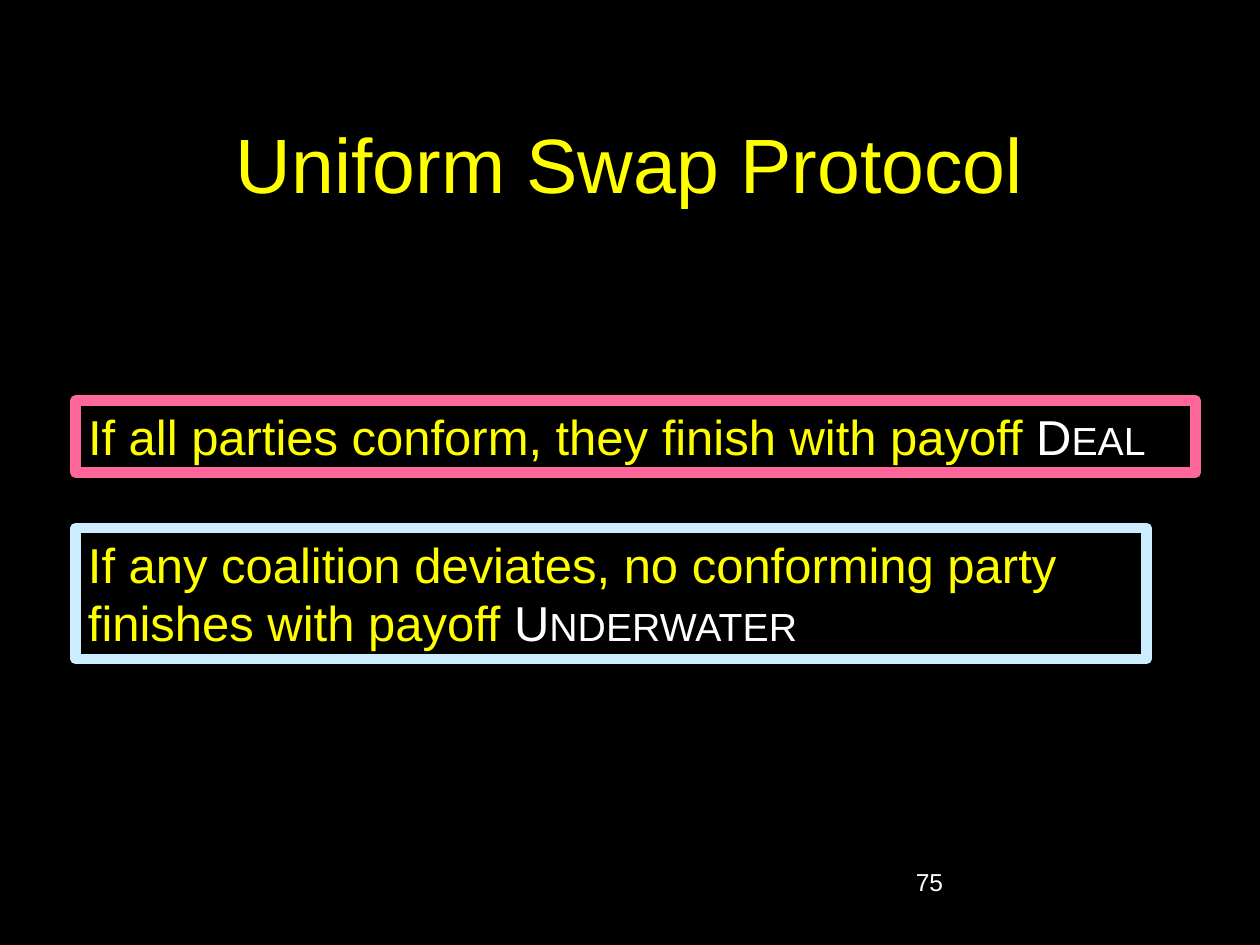
from pptx import Presentation
from pptx.dml.color import RGBColor
from pptx.enum.shapes import MSO_SHAPE as Shape
from pptx.enum.text import MSO_ANCHOR as Anchor, MSO_AUTO_SIZE as AutoSize, PP_ALIGN as Align
from pptx.util import Inches, Pt

BLACK = RGBColor(0x00, 0x00, 0x00)
WHITE = RGBColor(0xFF, 0xFF, 0xFF)
YELLOW = RGBColor(0xFF, 0xFF, 0x00)
PINK = RGBColor(0xFF, 0x66, 0x99)
PALE_BLUE = RGBColor(0xCC, 0xEC, 0xFF)


def style_font(font, size, color):
    font.name = "Arial"
    font.size = Pt(size)
    font.color.rgb = color


def place(shape, left, top, width, height):
    shape.left, shape.top = Inches(left), Inches(top)
    shape.width, shape.height = Inches(width), Inches(height)


def add_title(slide, text):
    title = slide.shapes.title
    place(title, 0.75, 0.67, 8.5, 1.25)
    title.text_frame.text = text
    title.text_frame.vertical_anchor = Anchor.MIDDLE
    paragraph = title.text_frame.paragraphs[0]
    paragraph.alignment = Align.CENTER
    style_font(paragraph.font, 44, YELLOW)


def add_slide_number(slide, number):
    box = slide.shapes.add_textbox(Inches(7.17), Inches(6.83), Inches(2.08), Inches(0.5))
    box.text_frame.word_wrap = True
    box.text_frame.text = number
    style_font(box.text_frame.paragraphs[0].font, 14, WHITE)


def add_guarantee(slide, top, width, height, border, statement, payoff):
    """Framed statement that ends with the payoff's name in small capitals."""
    box = slide.shapes.add_shape(
        Shape.RECTANGLE, Inches(0.6), Inches(top), Inches(width), Inches(height))
    box.shadow.inherit = False
    box.fill.solid()
    box.fill.fore_color.rgb = BLACK
    box.line.color.rgb = border
    box.line.width = Pt(6)
    frame = box.text_frame
    frame.word_wrap = True
    frame.auto_size = AutoSize.SHAPE_TO_FIT_TEXT
    frame.vertical_anchor = Anchor.TOP
    paragraph = frame.paragraphs[0]
    paragraph.alignment = Align.LEFT
    for text, color in ((statement + " ", YELLOW), (payoff, WHITE)):
        run = paragraph.add_run()
        run.text = text
        style_font(run.font, 28, color)
    run._r.get_or_add_rPr().set("cap", "small")


def main():
    presentation = Presentation()
    presentation.slide_width = Inches(10)
    presentation.slide_height = Inches(7.5)
    slide = presentation.slides.add_slide(presentation.slide_layouts[5])
    slide.background.fill.solid()
    slide.background.fill.fore_color.rgb = BLACK

    add_title(slide, "Uniform Swap Protocol")
    add_slide_number(slide, "75")
    add_guarantee(slide, 3.18, 8.89, 0.57, PINK,
                  "If all parties conform, they finish with payoff", "Deal")
    add_guarantee(slide, 4.19, 8.5, 1.04, PALE_BLUE,
                  "If any coalition deviates, no conforming party finishes with payoff",
                  "Underwater")
    presentation.save("out.pptx")


if __name__ == "__main__":
    main()
